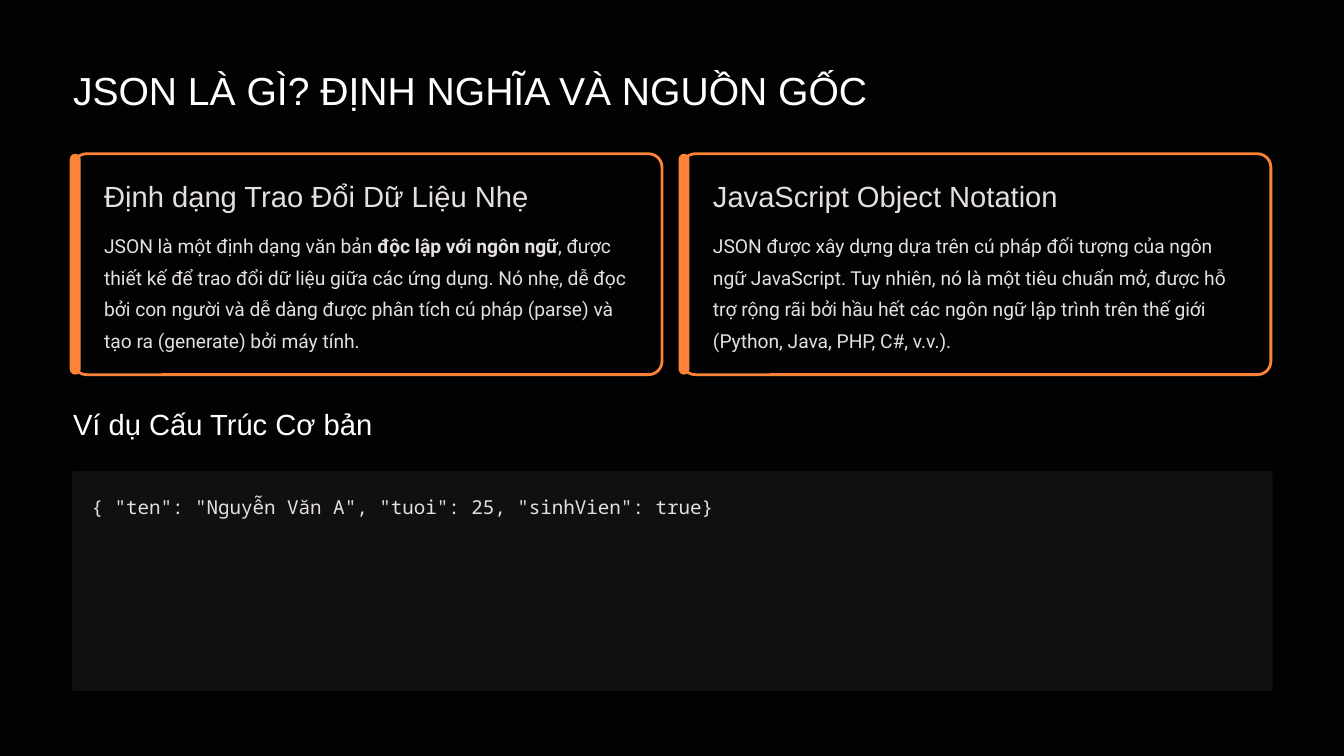
from pptx import Presentation
from pptx.dml.color import RGBColor
from pptx.enum.shapes import MSO_SHAPE
from pptx.oxml.ns import qn
from pptx.oxml.xmlchemy import OxmlElement
from pptx.util import Cm, Pt

rgb = RGBColor.from_string
ORANGE, WHITE, LIGHT, DARK, PANEL = "FC8337", "FFFFFF", "E5E0DF", "030303", "101010"

prs = Presentation()
prs.slide_width, prs.slide_height = Cm(40.64), Cm(22.86)
s = prs.slides.add_slide(prs.slide_layouts[6])
s.background.fill.solid()
s.background.fill.fore_color.rgb = rgb("000000")


def add_box(x, y, w, h, fill, radius=None, opacity=None, line=None):
    kind = MSO_SHAPE.RECTANGLE if radius is None else MSO_SHAPE.ROUNDED_RECTANGLE
    sp = s.shapes.add_shape(kind, Cm(x), Cm(y), Cm(w), Cm(h))
    sp.shadow.inherit = False
    if radius is not None:
        sp.adjustments[0] = radius
    sp.fill.solid()
    sp.fill.fore_color.rgb = rgb(fill)
    if opacity:
        alpha = OxmlElement("a:alpha")
        alpha.set("val", str(opacity * 1000))
        sp.element.spPr.find(qn("a:solidFill"))[0].append(alpha)
    if line:
        sp.line.color.rgb = rgb(line)
        sp.line.width = Pt(2.4)
    else:
        sp.line.fill.background()


def add_text(x, y, w, h, runs, size, font, color, spacing):
    tf = s.shapes.add_textbox(Cm(x), Cm(y), Cm(w), Cm(h)).text_frame
    tf.margin_left = tf.margin_top = tf.margin_right = tf.margin_bottom = 0
    tf.word_wrap = True
    p = tf.paragraphs[0]
    p.line_spacing = Pt(spacing)
    p.font.size, p.font.name = Pt(size), font
    p.font.color.rgb = rgb(color)
    for i, text in enumerate(runs):
        r = p.add_run()
        r.text = text
        if i % 2:
            r.font.bold = True


add_box(0, 0, 40.64, 22.86, DARK, opacity=75)
add_text(2.21, 1.96, 36.22, 1.5, ["JSON LÀ GÌ? ĐỊNH NGHĨA VÀ NGUỒN GỐC"],
         33.5, "Arial", WHITE, 42)

cards = [
    ("Định dạng Trao Đổi Dữ Liệu Nhẹ",
     ["JSON là một định dạng văn bản ", "độc lập với ngôn ngữ",
      ", được thiết kế để trao đổi dữ liệu giữa các ứng dụng. Nó nhẹ, dễ đọc "
      "bởi con người và dễ dàng được phân tích cú pháp (parse) và tạo ra "
      "(generate) bởi máy tính."]),
    ("JavaScript Object Notation",
     ["JSON được xây dựng dựa trên cú pháp đối tượng của ngôn ngữ JavaScript. "
      "Tuy nhiên, nó là một tiêu chuẩn mở, được hỗ trợ rộng rãi bởi hầu hết các "
      "ngôn ngữ lập trình trên thế giới (Python, Java, PHP, C#, v.v.)."]),
]
for i, (heading, body) in enumerate(cards):
    x = 2.21 + i * 18.41
    add_box(x, 4.65, 17.81, 6.68, DARK, 0.061, 75, ORANGE)
    add_box(x - 0.1, 4.65, 0.33, 6.68, ORANGE, 0.5)
    add_text(x + 0.94, 5.33, 16.21, 1.12, [heading], 25, "Arial", LIGHT, 31.5)
    add_text(x + 0.94, 6.83, 16.21, 3.84, body, 16.5, "Roboto", LIGHT, 27)

add_text(2.21, 12.24, 36.22, 1.12, ["Ví dụ Cấu Trúc Cơ bản"], 25, "Arial", WHITE, 31.5)
add_box(2.18, 14.25, 36.3, 6.65, PANEL, 0.014)
add_text(2.77, 14.71, 35.1, 5.74,
         ['{ "ten": "Nguyễn Văn A", "tuoi": 25, "sinhVien": true}'],
         16.5, "Noto Sans Mono", LIGHT, 27)

prs.save("out.pptx")
